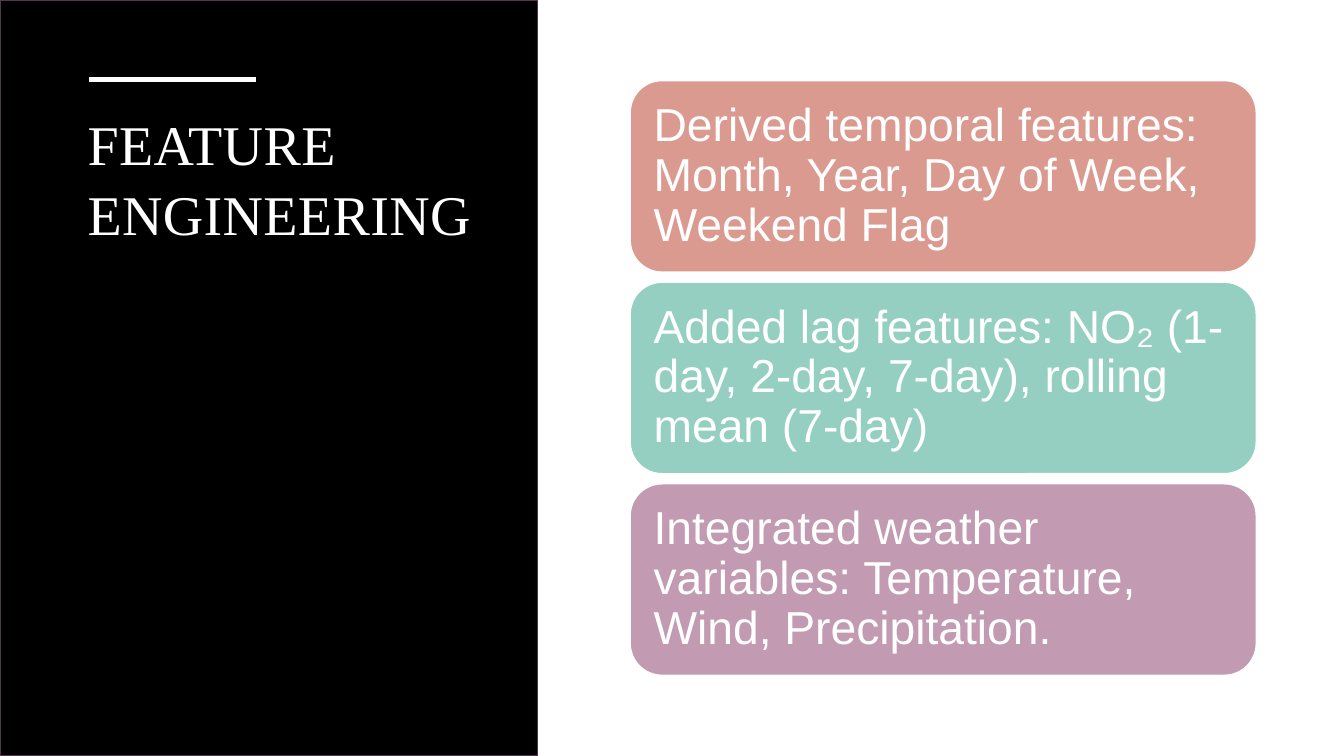
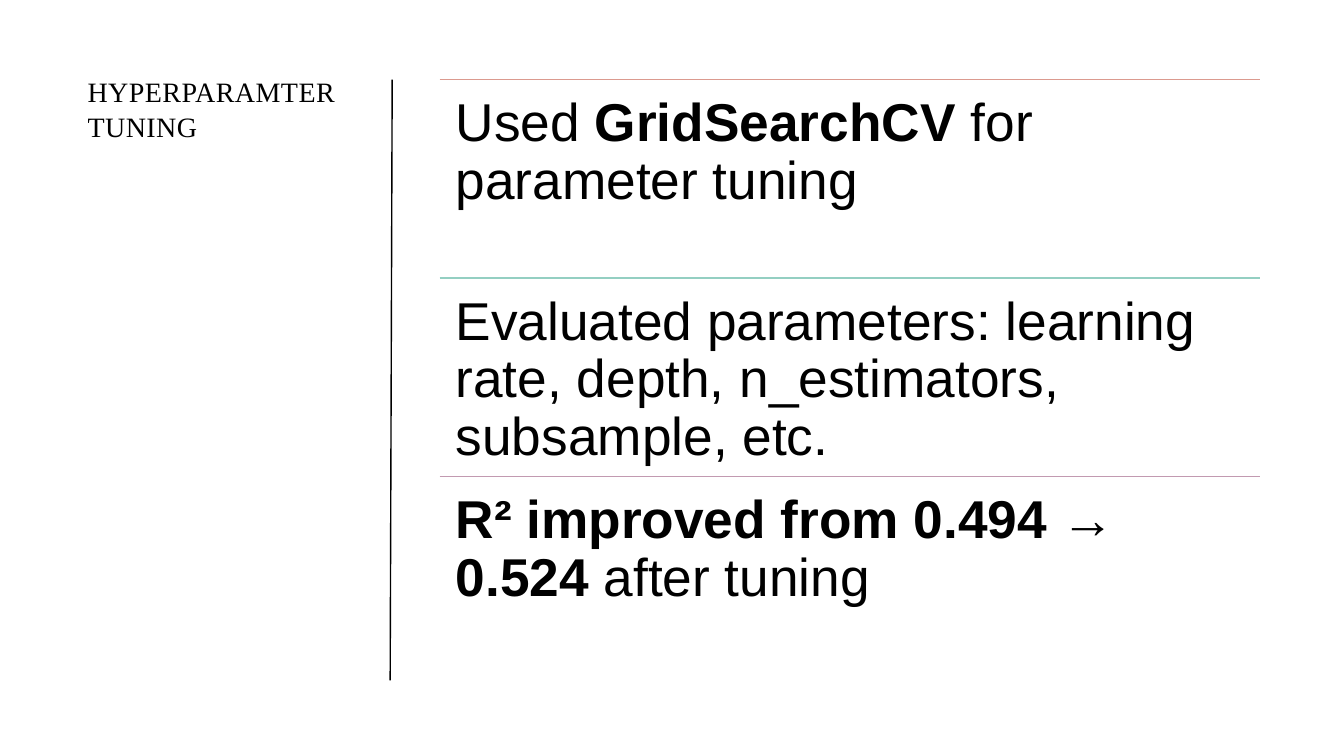
from dataclasses import dataclass

from lxml import etree
from pptx import Presentation
from pptx.dml.color import RGBColor
from pptx.enum import shapes, text
from pptx.oxml import ns
from pptx.util import Inches, Pt


@dataclass(frozen=True)
class Theme:
    black: str = "000000"
    white: str = "FFFFFF"
    plum: str = "55374C"
    accents: tuple[str, ...] = ("DB9A8F", "94CFC2", "C29AB1")
    title_font: str = "Times New Roman"
    body_font: str = "Arial"
    title_size: int = 40
    side_title_size: int = 20
    card_size: int = 33
    row_size: int = 38


@dataclass(frozen=True)
class Box:
    left: float
    top: float
    width: float
    height: float

    def inches(self) -> tuple:
        return tuple(Inches(n) for n in (self.left, self.top, self.width, self.height))


@dataclass(frozen=True)
class Span:
    words: str
    bold: bool = False


THEME = Theme()

FEATURES = (
    "Derived temporal features: Month, Year, Day of Week, Weekend Flag",
    "Added lag features: NO₂ (1-day, 2-day, 7-day), rolling mean (7-day)",
    "Integrated weather variables: Temperature, Wind, Precipitation.",
)
TUNING_NOTES = (
    (Span("Used "), Span("GridSearchCV", True), Span(" for parameter tuning")),
    (Span("Evaluated parameters: learning rate, depth, n_estimators, subsample, etc."),),
    (Span("R² improved from 0.494 → 0.524", True), Span(" after tuning")),
)


def rgb(color: str) -> RGBColor:
    return RGBColor.from_string(color)


def write(frame, spans: tuple[Span, ...], font: str, size: int, color: str,
          spacing: float, inset: float | None = None) -> None:
    """Fill a text frame with one left-aligned paragraph of spans."""
    frame.word_wrap = True
    if inset is not None:
        frame.margin_left = frame.margin_right = Inches(inset)
        frame.margin_top = frame.margin_bottom = Inches(inset)
    paragraph = frame.paragraphs[0]
    paragraph.alignment = text.PP_ALIGN.LEFT
    paragraph.line_spacing = spacing
    for span in spans:
        run = paragraph.add_run()
        run.text = span.words
        run.font.name = font
        run.font.size = Pt(size)
        run.font.bold = span.bold
        run.font.color.rgb = rgb(color)


def add_title(slide, words: str, box: Box, size: int, color: str) -> None:
    frame = slide.shapes.add_textbox(*box.inches()).text_frame
    write(frame, (Span(words),), THEME.title_font, size, color, spacing=1.05)
    for run in frame.paragraphs[0].runs:
        run.font._element.set("spc", "30")


def add_block(slide, kind, box: Box, fill: str, outline: str):
    block = slide.shapes.add_shape(kind, *box.inches())
    block.shadow.inherit = False
    block.fill.solid()
    block.fill.fore_color.rgb = rgb(fill)
    block.line.color.rgb = rgb(outline)
    block.line.width = Pt(1)
    return block


def add_rule(slide, start: tuple[float, float], end: tuple[float, float],
             color: str, width: float = 1) -> None:
    rule = slide.shapes.add_connector(
        shapes.MSO_CONNECTOR.STRAIGHT, *(Inches(n) for n in start + end))
    rule.line.color.rgb = rgb(color)
    rule.line.width = Pt(width)
    etree.SubElement(rule._element.spPr, ns.qn("a:effectLst"))


def build_features(slide) -> None:
    add_block(slide, shapes.MSO_SHAPE.RECTANGLE, Box(0, 0, 5.33, 7.5),
              THEME.black, THEME.plum)
    add_title(slide, "FEATURE ENGINEERING", Box(0.77, 1, 4.07, 4.01),
              THEME.title_size, THEME.white)
    add_rule(slide, (0.88, 0.79), (2.54, 0.79), THEME.white, 3.5)
    top, height, gap = 0.8, 1.9, 0.1
    for i, (feature, accent) in enumerate(zip(FEATURES, THEME.accents)):
        card = add_block(slide, shapes.MSO_SHAPE.ROUNDED_RECTANGLE,
                         Box(6.25, top + i * (height + gap), 6.21, height),
                         accent, THEME.white)
        card.text_frame.vertical_anchor = text.MSO_ANCHOR.MIDDLE
        write(card.text_frame, (Span(feature),), THEME.body_font,
              THEME.card_size, THEME.white, spacing=0.9, inset=0.14)


def build_tuning(slide) -> None:
    add_title(slide, "HYPERPARAMTER TUNING", Box(0.77, 0.67, 2.76, 4.91),
              THEME.side_title_size, THEME.black)
    add_rule(slide, (3.87, 6.75), (3.89, 0.79), THEME.black)
    left, width, height = 4.36, 8.14, 1.97
    for i, (note, accent) in enumerate(zip(TUNING_NOTES, THEME.accents)):
        top = 0.79 + i * height
        add_rule(slide, (left, top), (left + width, top), accent)
        row = slide.shapes.add_textbox(*Box(left, top, width, height).inches())
        write(row.text_frame, note, THEME.body_font, THEME.row_size,
              THEME.black, spacing=0.9, inset=0.16)


def main() -> None:
    deck = Presentation()
    deck.slide_width, deck.slide_height = Inches(13.33), Inches(7.5)
    blank = deck.slide_layouts[6]
    for build in (build_features, build_tuning):
        build(deck.slides.add_slide(blank))
    deck.save("out.pptx")


if __name__ == "__main__":
    main()
